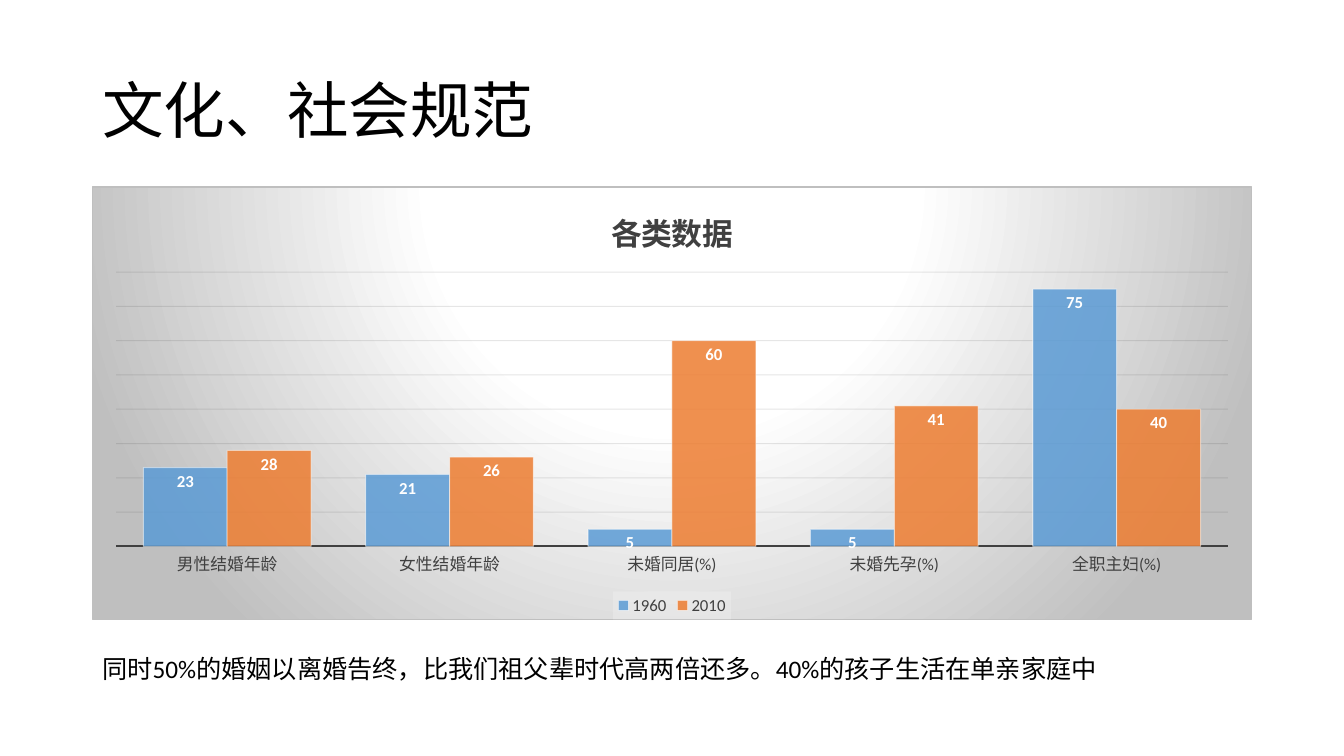
import pptx
import pptx.chart.data
import pptx.dml.color
import pptx.enum.chart
import pptx.enum.text
import pptx.oxml
import pptx.oxml.ns
import pptx.util
from dataclasses import dataclass

Pt = pptx.util.Pt
enum = pptx.enum.chart
NS = ('xmlns:a="http://schemas.openxmlformats.org/drawingml/2006/main" '
      'xmlns:c="http://schemas.openxmlformats.org/drawingml/2006/chart"')


@dataclass(frozen=True)
class Theme:
    """Colours, font and type sizes of the slide."""
    font: str = "Calibri"
    ink: str = "000000"
    soft: str = "404040"
    white: str = "FFFFFF"
    edge: str = "BFBFBF"
    grid: str = "0D0D0D"
    key: str = "F2F2F2"
    bars: tuple = ("5B9BD5", "ED7D31")
    head: int = 44
    title: int = 22
    body: int = 18
    label: int = 12
    base: int = 10


T = Theme()
CATS = ["男性结婚年龄", "女性结婚年龄", "未婚同居(%)", "未婚先孕(%)", "全职主妇(%)"]
DATA = {"1960": (23, 21, 5, 5, 75), "2010": (28, 26, 60, 41, 40)}


def rgb(code):
    """Turn a hex code into a colour."""
    return pptx.dml.color.RGBColor.from_string(code)


def style(font, size, code, bold=False):
    """Set face, size, weight and colour of a font."""
    font.name, font.size, font.bold = T.font, Pt(size), bold
    font.color.rgb = rgb(code)


def stroke(line, code, width):
    """Set colour and width of a line."""
    line.color.rgb = rgb(code)
    line.width = Pt(width)


def fade(root, query, share):
    """Give the colours found by the query an opacity in percent."""
    for node in root.xpath(query + "//a:srgbClr"):
        alpha = node.makeelement(pptx.oxml.ns.qn("a:alpha"), {"val": str(share * 1000)})
        node.append(alpha)


def write(slide, box, text, size, anchor, space=None):
    """Place one paragraph of text in the box."""
    frame = slide.shapes.add_textbox(*map(Pt, box)).text_frame
    frame.word_wrap = True
    frame.vertical_anchor = anchor
    para = frame.paragraphs[0]
    para.line_spacing = space
    run = para.add_run()
    run.text = text
    style(run.font, size, T.ink)


def panel(chart):
    """Fill the chart area with a round gradient and fill the legend."""
    stops = "".join(f'<a:gs pos="{pos * 1000}"><a:srgbClr val="{code}"/></a:gs>'
                    for pos, code in ((0, T.white), (39, T.white), (100, T.edge)))
    area = (f'<c:spPr {NS}><a:gradFill><a:gsLst>{stops}</a:gsLst><a:path path="circle">'
            '<a:fillToRect l="50000" t="-80000" r="50000" b="180000"/></a:path></a:gradFill>'
            f'<a:ln w="{Pt(0.75)}"><a:solidFill><a:srgbClr val="{T.edge}"/></a:solidFill>'
            '</a:ln></c:spPr>')
    key = (f'<c:spPr {NS}><a:solidFill><a:srgbClr val="{T.key}"/></a:solidFill>'
           '<a:ln><a:noFill/></a:ln></c:spPr>')
    root = chart.element
    root.xpath("c:chart")[0].addnext(pptx.oxml.parse_xml(area))
    root.xpath("c:chart/c:legend/c:txPr")[0].addprevious(pptx.oxml.parse_xml(key))
    fade(root, "c:chart/c:legend/c:spPr", 39)


def axes(chart):
    """Style the category axis and the faint grid."""
    cat, val = chart.category_axis, chart.value_axis
    cat.major_tick_mark = cat.minor_tick_mark = enum.XL_TICK_MARK.NONE
    style(cat.tick_labels.font, T.label, T.soft)
    stroke(cat.format.line, T.soft, 1.5)
    val.visible = False
    val.minimum_scale, val.maximum_scale, val.major_unit = 0, 80, 10
    val.has_major_gridlines = True
    stroke(val.major_gridlines.format.line, T.grid, 0.75)
    fade(chart.element, ".//c:majorGridlines", 10)


def columns(slide, box):
    """Draw the clustered column chart in the box."""
    data = pptx.chart.data.CategoryChartData()
    data.categories = CATS
    for name, vals in DATA.items():
        data.add_series(name, vals)
    kind = enum.XL_CHART_TYPE.COLUMN_CLUSTERED
    chart = slide.shapes.add_chart(kind, *map(Pt, box), data).chart
    style(chart.font, T.base, T.ink)
    chart.has_title = True
    run = chart.chart_title.text_frame.paragraphs[0].add_run()
    run.text = "各类数据"
    style(run.font, T.title, T.soft, True)
    chart.has_legend = True
    chart.legend.position = enum.XL_LEGEND_POSITION.BOTTOM
    chart.legend.include_in_layout = False
    style(chart.legend.font, T.label, T.soft)
    plot = chart.plots[0]
    plot.gap_width, plot.vary_by_categories = 65, False
    for bar, code in zip(plot.series, T.bars):
        bar.format.fill.solid()
        bar.format.fill.fore_color.rgb = rgb(code)
        stroke(bar.format.line, T.white, 0.75)
        labels = bar.data_labels
        labels.show_value = True
        labels.position = enum.XL_LABEL_POSITION.INSIDE_END
        style(labels.font, T.label, T.white, True)
    fade(chart.element, ".//c:ser/c:spPr/a:solidFill", 85)
    fade(chart.element, ".//c:ser/c:spPr/a:ln", 50)
    axes(chart)
    panel(chart)


def norms(deck, box):
    """Build the slide: heading, chart and closing remark."""
    left, top, width, height = box
    slide = deck.slides.add_slide(deck.slide_layouts[6])
    anchor = pptx.enum.text.MSO_ANCHOR
    write(slide, (left, top, width, 104.4), "文化、社会规范", T.head, anchor.MIDDLE, 0.9)
    columns(slide, (left, top + 104.4, width, 309.6))
    write(slide, (left, top + height - 29, 731.5, 29),
          "同时50%的婚姻以离婚告终，比我们祖父辈时代高两倍还多。40%的孩子生活在单亲家庭中",
          T.body, anchor.TOP)


deck = pptx.Presentation()
deck.slide_width, deck.slide_height = Pt(960), Pt(540)
norms(deck, (66, 28.8, 828, 463))
deck.save("out.pptx")
